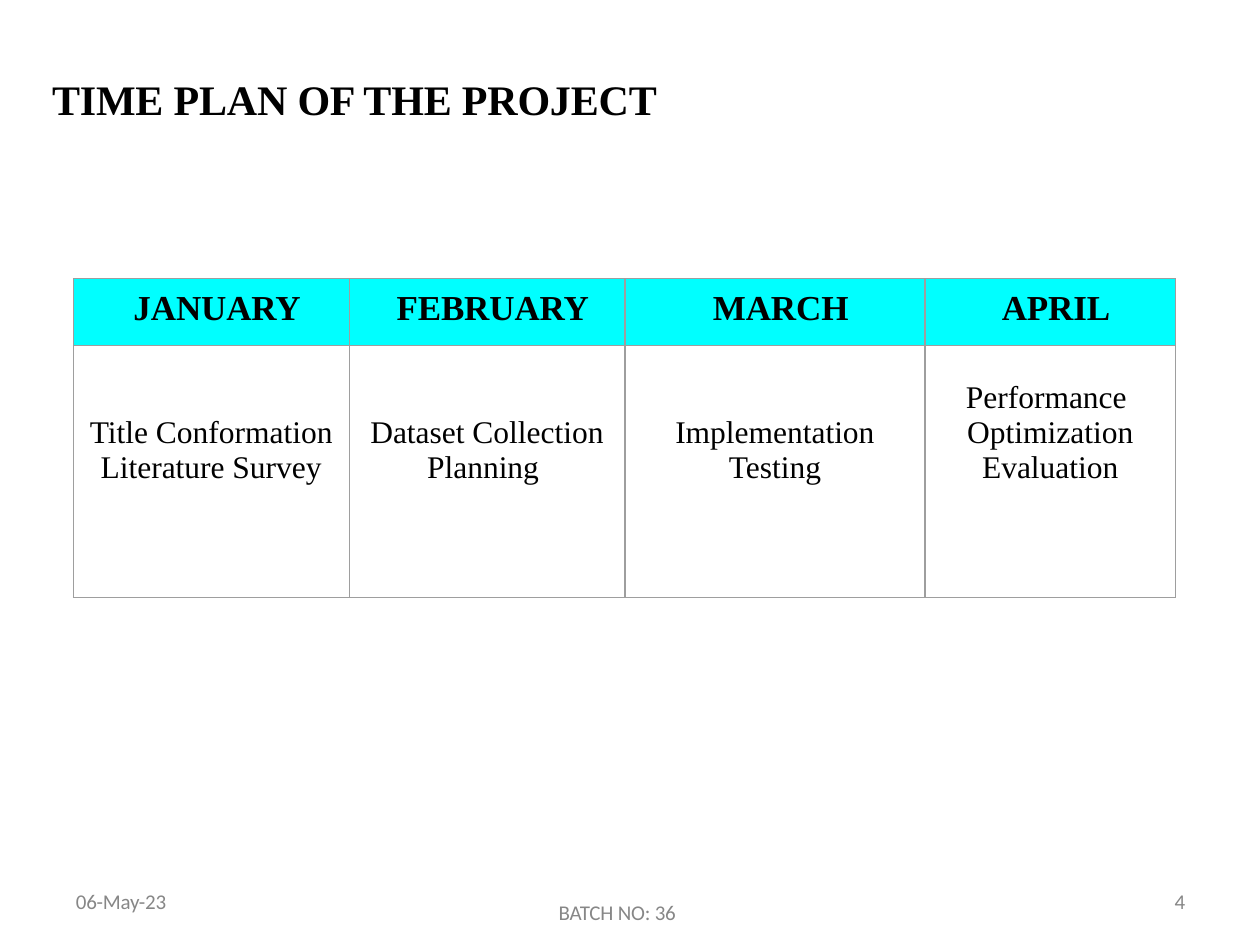
import dataclasses

import lxml.etree
import pptx
import pptx.dml.color
import pptx.enum.text
import pptx.oxml.ns
import pptx.util

Cm = pptx.util.Cm
Pt = pptx.util.Pt
Align = pptx.enum.text.PP_ALIGN


@dataclasses.dataclass(frozen=True)
class TextStyle:
    font: str
    size: int
    color: str
    bold: bool = False
    tracking: float = 0


@dataclasses.dataclass(frozen=True)
class Theme:
    title: TextStyle = TextStyle("Times New Roman", 24, "000000", True, -0.1)
    month: TextStyle = TextStyle("Times New Roman", 20, "000000", True, -0.1)
    task: TextStyle = TextStyle("Times New Roman", 18, "000000")
    footer: TextStyle = TextStyle("Calibri", 12, "878787", False, -0.1)
    footer_leading: float = 12.4
    month_fill: str = "00FFFF"
    border: str = "9E9E9E"
    border_width: float = 0.75


def rgb(value):
    return pptx.dml.color.RGBColor.from_string(value)


class SlideBuilder:
    def __init__(self, slide, theme):
        self.slide = slide
        self.theme = theme

    def add_lines(self, frame, lines, style, align=Align.LEFT, leading=None):
        """Put each line in its own paragraph, starting with the empty first one."""
        for index, line in enumerate(lines):
            paragraph = frame.add_paragraph() if index else frame.paragraphs[0]
            paragraph.alignment = align
            if leading:
                paragraph.line_spacing = Pt(leading)
            run = paragraph.add_run()
            run.text = line
            run.font.name = style.font
            run.font.size = Pt(style.size)
            run.font.bold = style.bold
            run.font.color.rgb = rgb(style.color)
            if style.tracking:
                run._r.get_or_add_rPr().set("spc", str(round(style.tracking * 100)))

    def prepare_frame(self, frame, left, top=0):
        frame.margin_left, frame.margin_top = Cm(left), Cm(top)
        frame.margin_right = frame.margin_bottom = 0
        frame.word_wrap = True
        frame.vertical_anchor = pptx.enum.text.MSO_ANCHOR.TOP
        frame.auto_size = pptx.enum.text.MSO_AUTO_SIZE.SHAPE_TO_FIT_TEXT

    def title(self, wording, left, top, width, height):
        heading = self.slide.shapes.title
        heading.left, heading.top = Cm(left), Cm(top)
        heading.width, heading.height = Cm(width), Cm(height)
        self.prepare_frame(heading.text_frame, 0.03, 0.03)
        self.add_lines(heading.text_frame, [wording], self.theme.title)

    def footer(self, wording, left, top, width, height, inset=0.03):
        note = self.slide.shapes.add_textbox(Cm(left), Cm(top), Cm(width), Cm(height))
        self.prepare_frame(note.text_frame, inset)
        self.add_lines(note.text_frame, [wording], self.theme.footer,
                       leading=self.theme.footer_leading)

    def outline(self, cell):
        properties = cell._tc.get_or_add_tcPr()
        for side in ("lnL", "lnR", "lnT", "lnB"):
            line = lxml.etree.SubElement(properties, pptx.oxml.ns.qn(f"a:{side}"),
                                         w=str(Pt(self.theme.border_width)))
            fill = lxml.etree.SubElement(line, pptx.oxml.ns.qn("a:solidFill"))
            lxml.etree.SubElement(fill, pptx.oxml.ns.qn("a:srgbClr"),
                                  val=self.theme.border)

    def cell(self, cell, lines, style, left, top, fill=None):
        cell.margin_left, cell.margin_top = Cm(left), Cm(top)
        cell.margin_right = cell.margin_bottom = 0
        self.outline(cell)
        if fill:
            cell.fill.solid()
            cell.fill.fore_color.rgb = rgb(fill)
        else:
            cell.fill.background()
        self.add_lines(cell.text_frame, lines, style, Align.CENTER)

    def schedule(self, plan, left, top, widths, heights):
        """Draw one column per month; each plan entry is (month, lines skipped, tasks)."""
        line_height = 0.7
        table = self.slide.shapes.add_table(
            len(heights), len(widths), Cm(left), Cm(top),
            Cm(sum(widths)), Cm(sum(heights))).table
        table.first_row = table.horz_banding = False
        for row, height in zip(table.rows, heights):
            row.height = Cm(height)
        for index, (width, (month, skipped, tasks)) in enumerate(zip(widths, plan)):
            table.columns[index].width = Cm(width)
            self.cell(table.cell(0, index), [month], self.theme.month,
                      0.23, 0.2, self.theme.month_fill)
            self.cell(table.cell(1, index), tasks, self.theme.task,
                      0, skipped * line_height)


def main():
    presentation = pptx.Presentation()
    presentation.slide_width, presentation.slide_height = Cm(25.4), Cm(19.05)
    title_only = presentation.slide_layouts[5]
    builder = SlideBuilder(presentation.slides.add_slide(title_only), Theme())

    builder.title("TIME PLAN OF THE PROJECT", 1.02, 1.45, 12.4, 1.09)
    builder.schedule(
        [
            ("JANUARY", 2, ["Title Conformation", "Literature Survey"]),
            ("FEBRUARY", 2, ["Dataset Collection", "Planning "]),
            ("MARCH", 2, ["Implementation", "Testing"]),
            ("APRIL", 1, ["Performance ", "Optimization", "Evaluation"]),
        ],
        left=1.48, top=5.62, widths=[5.56, 5.56, 6.05, 5.05], heights=[1.35, 5.08])
    builder.footer("06-May-23", 1.5, 17.98, 2.03, 0.48)
    builder.footer("4", 23.6, 17.98, 0.36, 0.48, inset=0.08)
    builder.footer("BATCH NO: 36", 11.23, 18.21, 2.5, 0.43)

    presentation.save("out.pptx")


if __name__ == "__main__":
    main()
